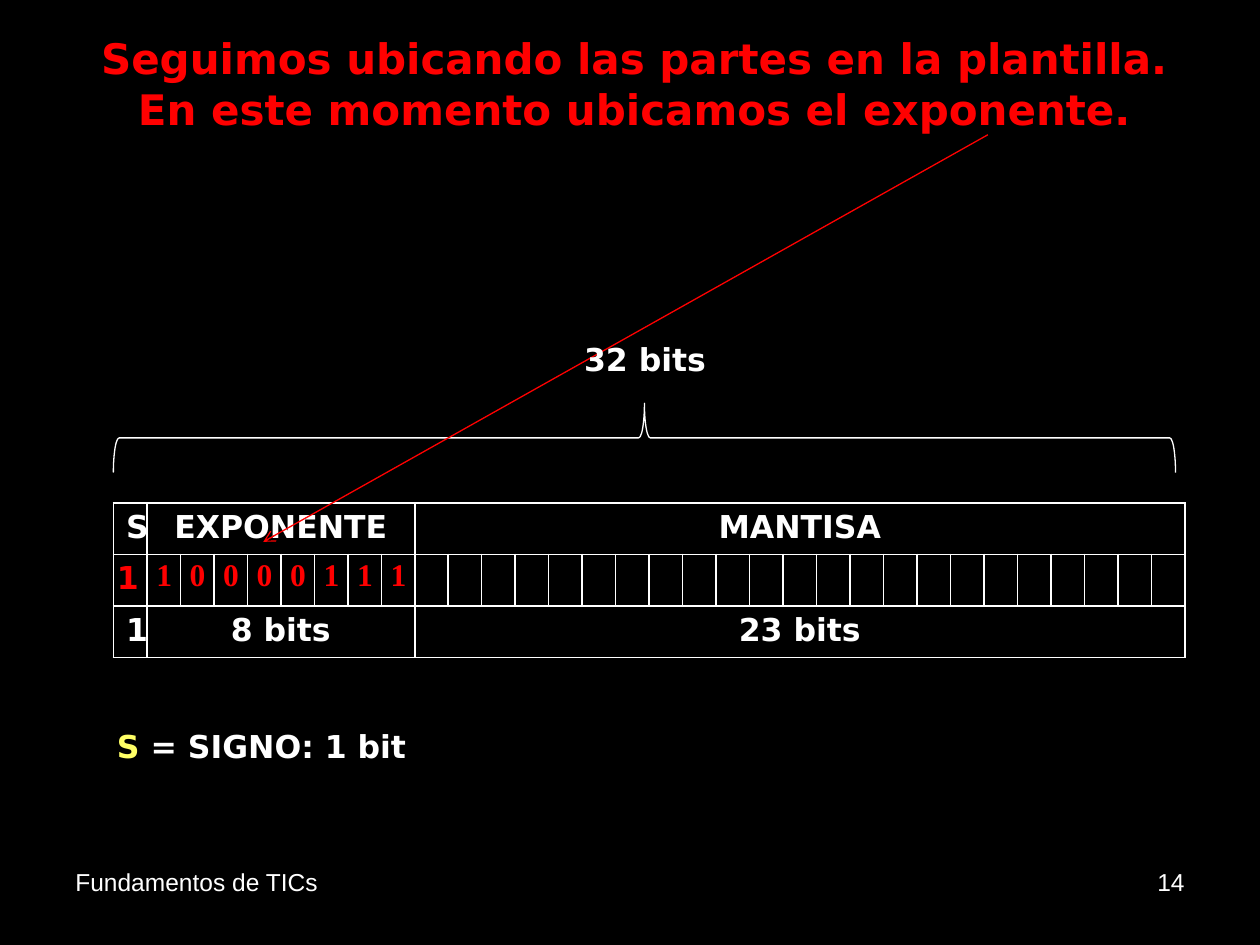
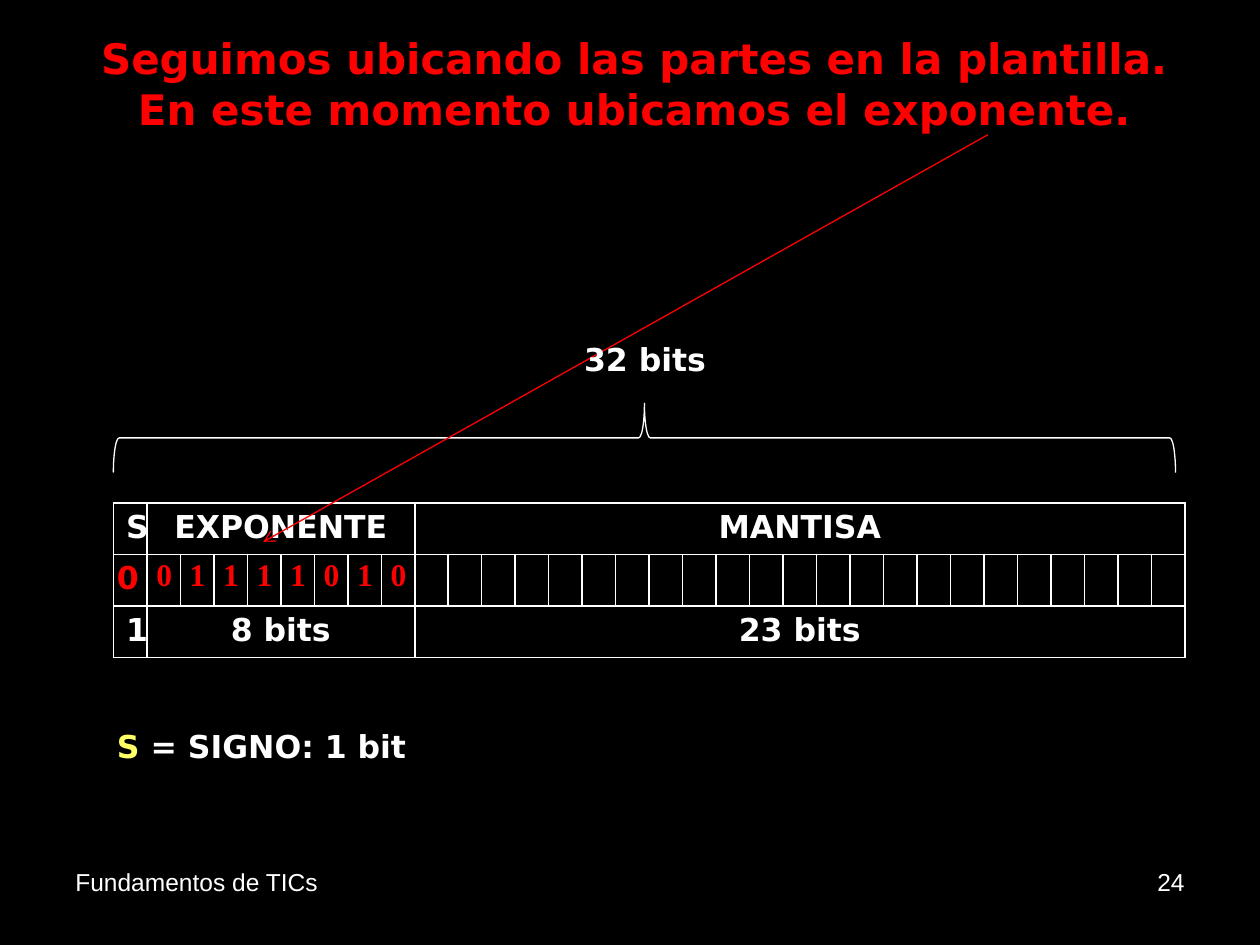
"""Two slides that place the exponent bits in the 32-bit floating point template."""
import pptx
import pptx.dml.color
import pptx.enum.shapes
import pptx.enum.text
import pptx.oxml
import pptx.oxml.ns
import pptx.util
import lxml.etree

BLACK = pptx.dml.color.RGBColor(0x00, 0x00, 0x00)
WHITE = pptx.dml.color.RGBColor(0xFF, 0xFF, 0xFF)
RED = pptx.dml.color.RGBColor(0xFF, 0x00, 0x00)
YELLOW = pptx.dml.color.RGBColor(0xFF, 0xFF, 0x66)
LEFT = pptx.enum.text.PP_ALIGN.LEFT
CENTER = pptx.enum.text.PP_ALIGN.CENTER
RIGHT = pptx.enum.text.PP_ALIGN.RIGHT
HEADING_FONT = "DejaVu Sans"
FOOTER_FONT = "Arial"
DIGIT_FONT = "Times New Roman"
PLAIN_TABLE_STYLE = "{2D5ABB26-0587-4C30-8999-92F81FD0307C}"

inch = pptx.util.Inches
qn = pptx.oxml.ns.qn
BIT_COUNT = 32
TEMPLATE_LEFT, TEMPLATE_TOP, TEMPLATE_WIDTH = 0.9, 3.99, 8.51
BIT_WIDTH = TEMPLATE_WIDTH / BIT_COUNT
ROW_HEIGHT = 0.41
EXPONENT_LEFT, EXPONENT_TOP = 1.14, 4.38
LABEL_LEFT = 0.83
FOOTER_TOP, FOOTER_WIDTH, FOOTER_HEIGHT = 6.83, 2.33, 0.52
FOOTER_MARGIN = 0.5

TITLE = "Seguimos ubicando las partes en la plantilla.\nEn este momento ubicamos el exponente."
FIELDS = [("S", 1, "1"), ("EXPONENTE", 8, "8 bits"), ("MANTISA", 23, "23 bits")]
SLIDES = [("14", "1", "10000111"), ("24", "0", "01111010")]


def write(text_frame, text, size, font, color, alignment, bold=True):
    text_frame.text = text
    for paragraph in text_frame.paragraphs:
        paragraph.alignment = alignment
        for run in paragraph.runs:
            run.font.size = pptx.util.Pt(size)
            run.font.name = font
            run.font.bold = bold
            run.font.color.rgb = color


def add_plain_table(slide, rows, columns, left, top):
    table = slide.shapes.add_table(
        rows, columns, inch(left), inch(top),
        inch(columns * BIT_WIDTH), inch(rows * ROW_HEIGHT)).table
    table.first_row = False
    table.horz_banding = False
    table._tbl.tblPr.find(qn("a:tableStyleId")).text = PLAIN_TABLE_STYLE
    return table


presentation = pptx.Presentation()
presentation.slide_width = inch(10)
presentation.slide_height = inch(7.5)
background = presentation.slide_master.background.fill
background.solid()
background.fore_color.rgb = BLACK

for number, sign, exponent in SLIDES:
    slide = presentation.slides.add_slide(presentation.slide_layouts[6])

    template = add_plain_table(slide, 3, BIT_COUNT, TEMPLATE_LEFT, TEMPLATE_TOP)
    for cell in template.iter_cells():
        properties = cell._tc.get_or_add_tcPr()
        for side in ("a:lnL", "a:lnR", "a:lnT", "a:lnB"):
            border = lxml.etree.SubElement(properties, qn(side), w=str(pptx.util.Pt(1)))
            border_fill = lxml.etree.SubElement(border, qn("a:solidFill"))
            lxml.etree.SubElement(border_fill, qn("a:srgbClr"), val=str(WHITE))
        cell.fill.solid()
        cell.fill.fore_color.rgb = BLACK
    first_bit = 0
    for name, bits, size_label in FIELDS:
        for row, text in ((0, name), (2, size_label)):
            cell = template.cell(row, first_bit)
            if bits > 1:
                cell.merge(template.cell(row, first_bit + bits - 1))
            write(cell.text_frame, text, 18, HEADING_FONT, WHITE, CENTER)
        first_bit += bits

    brace = slide.shapes.add_shape(
        pptx.enum.shapes.MSO_SHAPE.RIGHT_BRACE,
        inch(4.84), inch(-0.74), inch(0.55), inch(8.43))
    brace.rotation = 270
    brace.adjustments[0] = 0.083
    brace.shadow.inherit = False
    brace.fill.background()
    brace.line.color.rgb = WHITE
    brace.line.width = pptx.util.Pt(0.75)

    arrow = slide.shapes.add_connector(
        pptx.enum.shapes.MSO_CONNECTOR.STRAIGHT,
        inch(7.84), inch(1.07), inch(2.09), inch(4.3))
    arrow.line.color.rgb = RED
    arrow.line.width = pptx.util.Pt(0.75)
    lxml.etree.SubElement(arrow.line._get_or_add_ln(), qn("a:tailEnd"), type="arrow")
    lxml.etree.SubElement(arrow._element.spPr, qn("a:effectLst"))

    page_left = 10 - FOOTER_MARGIN - FOOTER_WIDTH
    for text, left, top, width, height, size, font, color, alignment, bold in (
        (TITLE, 0.35, 0.21, 9.37, 0.91, 24, HEADING_FONT, RED, CENTER, True),
        ("32 bits", 3.74, 2.65, 2.76, 0.4, 18, HEADING_FONT, WHITE, CENTER, True),
        (sign, LABEL_LEFT, EXPONENT_TOP, 0.39, 0.71, 18, HEADING_FONT, RED, LEFT, True),
        ("Fundamentos de TICs", FOOTER_MARGIN, FOOTER_TOP, FOOTER_WIDTH, FOOTER_HEIGHT,
         14, FOOTER_FONT, WHITE, LEFT, False),
        (number, page_left, FOOTER_TOP, FOOTER_WIDTH, FOOTER_HEIGHT,
         14, FOOTER_FONT, WHITE, RIGHT, False),
        ("S", LABEL_LEFT, 5.72, 3.39, 0.4, 18, HEADING_FONT, YELLOW, LEFT, True),
    ):
        text_box = slide.shapes.add_textbox(inch(left), inch(top), inch(width), inch(height))
        text_box.text_frame.word_wrap = True
        write(text_box.text_frame, text, size, font, color, alignment, bold)

    legend = text_box.text_frame.paragraphs[0].add_run()
    legend.text = " = SIGNO: 1 bit"
    legend.font.size = pptx.util.Pt(18)
    legend.font.name = HEADING_FONT
    legend.font.bold = True
    legend.font.color.rgb = WHITE

    exponent_table = add_plain_table(slide, 1, len(exponent), EXPONENT_LEFT, EXPONENT_TOP)
    for cell, digit in zip(exponent_table.iter_cells(), exponent):
        cell.fill.background()
        write(cell.text_frame, digit, 18, DIGIT_FONT, RED, CENTER)

presentation.save("out.pptx")
